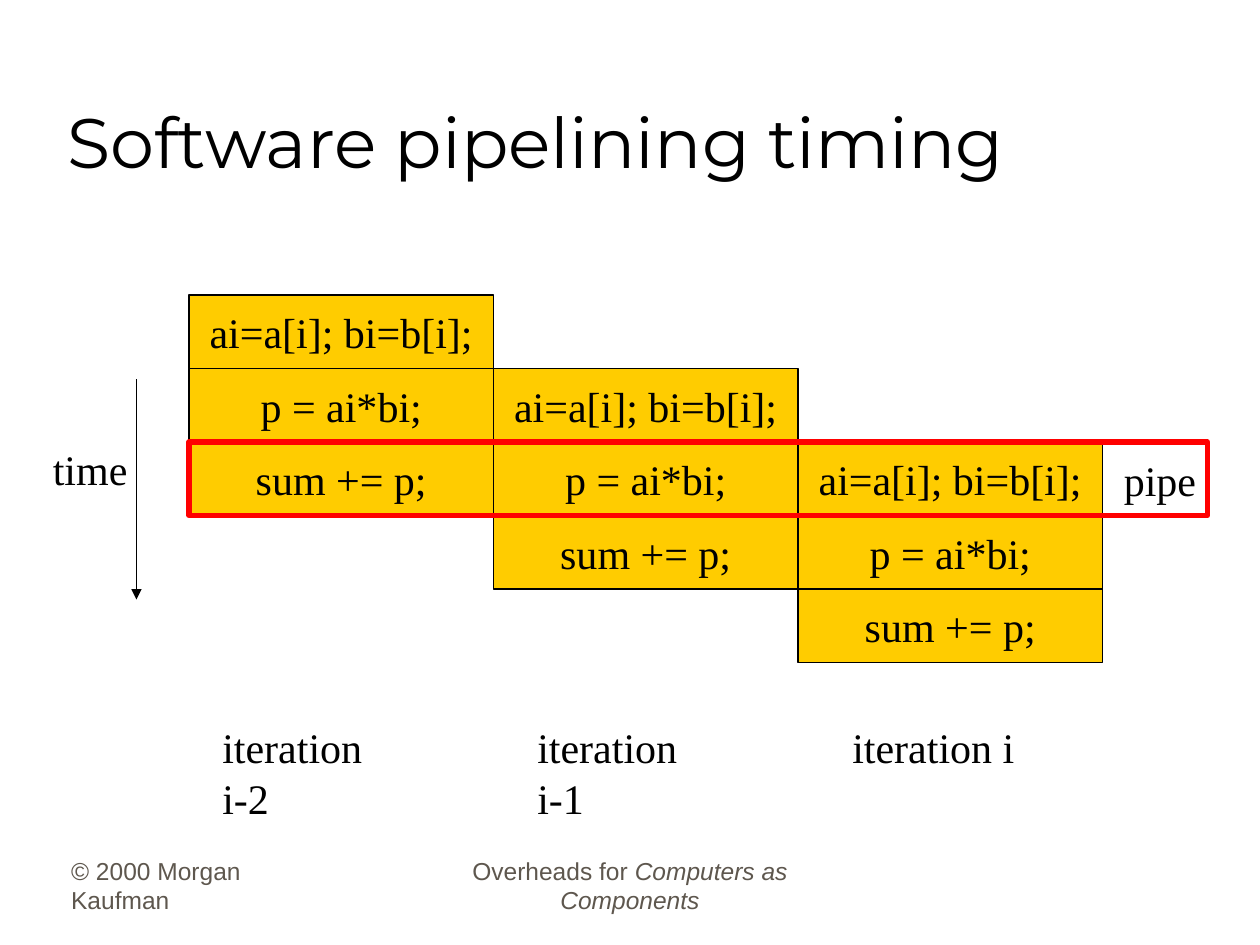
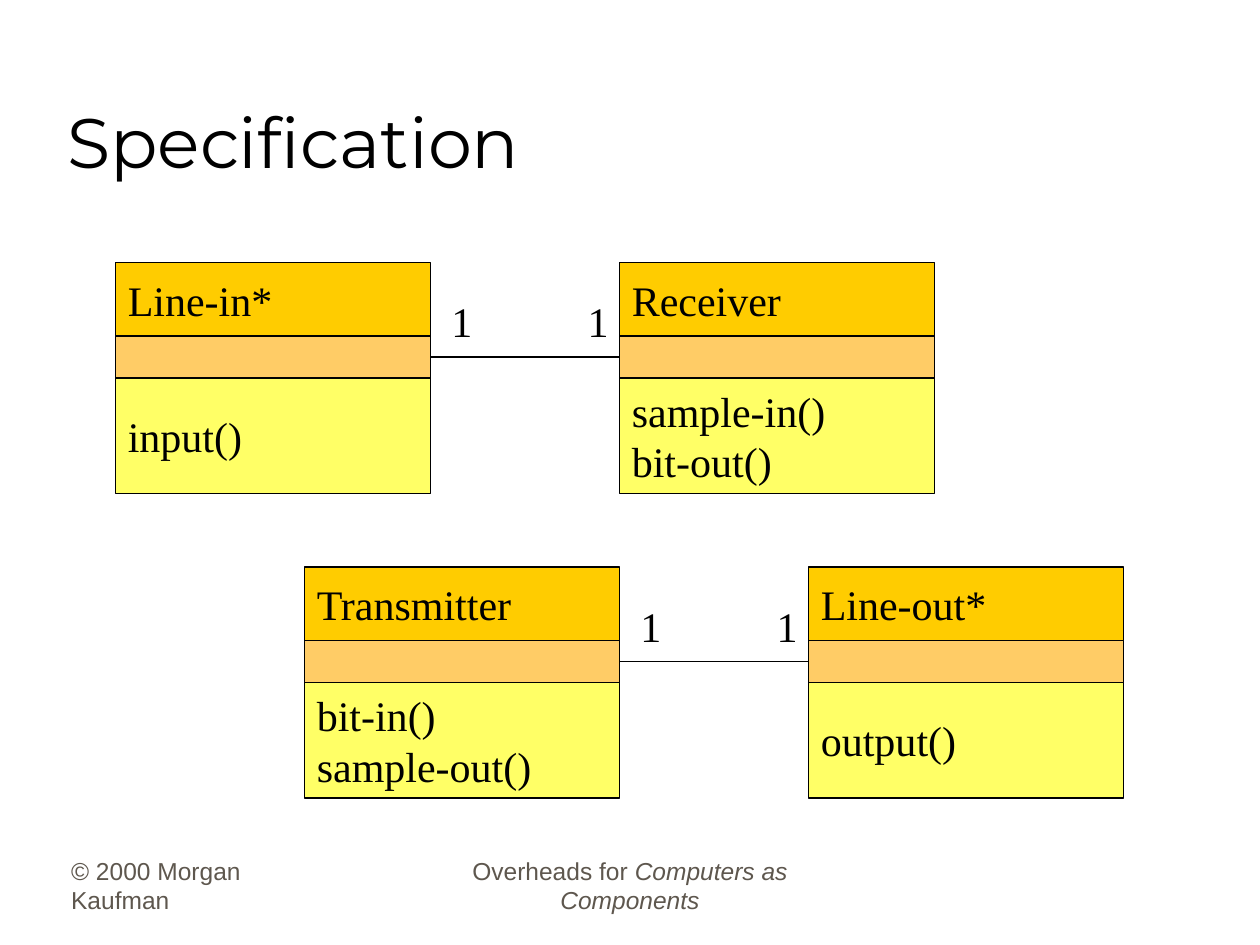
"""Build two slides: software pipelining timing and a class specification."""
import pptx
import pptx.util
import pptx.dml.color
import pptx.enum.shapes
import pptx.enum.text
import pptx.oxml.ns
from lxml import etree

RGBColor = pptx.dml.color.RGBColor
ALIGN = pptx.enum.text.PP_ALIGN
ANCHOR = pptx.enum.text.MSO_ANCHOR

BLACK = RGBColor(0x00, 0x00, 0x00)
RED = RGBColor(0xFF, 0x00, 0x00)
GOLD = RGBColor(0xFF, 0xCC, 0x00)
ORANGE = RGBColor(0xFF, 0xCC, 0x66)
YELLOW = RGBColor(0xFF, 0xFF, 0x66)
FOOTER_GREY = RGBColor(0x5E, 0x57, 0x4E)

TITLE_STYLE = ("Montserrat", 40, BLACK)
BODY_STYLE = ("Times New Roman", 24, BLACK)
FOOTER_STYLE = ("Arial", 14, FOOTER_GREY)

TITLE_BOX = (5.25, 3, 102, 15)
FOOTERS = [
    ((5.6, 81.7, 25, 6), ALIGN.LEFT, [("© 2000 Morgan Kaufman", False)]),
    ((41, 81.7, 38, 6), ALIGN.CENTER,
     [("Overheads for ", False), ("Computers as Components", True)]),
]

TIMING_TITLE = "Software pipelining timing"
STAGES = ["ai=a[i]; bi=b[i];", "p = ai*bi;", "sum += p;"]
ITERATIONS = [("iteration i-2", 21.1), ("iteration i-1", 21.1), ("iteration i", 17.8)]
STAGE_LEFT, STAGE_TOP, STAGE_WIDTH, STAGE_HEIGHT = 18, 28.1, 29, 7
PIPE_WIDTH = 97
ITERATION_LEFT, ITERATION_TOP, ITERATION_STEP = 20, 68.15, 30
TIME_ARROW = (13, 36.1, 13, 57.1)
SIDE_LABELS = [("time", 3.85, 41.65, 9.5), ("pipe", 105.85, 42.65, 9.25)]

SPECIFICATION_TITLE = "Specification"
CLASS_ROWS = [
    (11, 25, [("Line-in*", ["input()"]), ("Receiver", ["sample-in()", "bit-out()"])]),
    (29, 54, [("Transmitter", ["bit-in()", "sample-out()"]), ("Line-out*", ["output()"])]),
]
CLASS_WIDTH, CLASS_GAP = 30, 18
NAME_HEIGHT, ATTRIBUTE_HEIGHT, METHOD_HEIGHT = 7, 4, 11
MULTIPLICITY = "1"
MULTIPLICITY_WIDTH = 4.3
LABEL_HEIGHT = 6

presentation = pptx.Presentation()
presentation.slide_width = pptx.util.Inches(10)
presentation.slide_height = pptx.util.Inches(7.5)
GRID_UNIT = presentation.slide_width / 120


def grid(*lengths):
    """Turn grid units into slide lengths."""
    return [pptx.util.Emu(round(length * GRID_UNIT)) for length in lengths]


def write(shape, paragraphs, style, alignment=ALIGN.LEFT, anchor=ANCHOR.TOP, wrap=True):
    """Write paragraphs given as lists of (text, italic) runs."""
    frame = shape.text_frame
    frame.word_wrap = wrap
    frame.vertical_anchor = anchor
    name, size, color = style
    for index, runs in enumerate(paragraphs):
        paragraph = frame.add_paragraph() if index else frame.paragraphs[0]
        paragraph.alignment = alignment
        for text, italic in runs:
            run = paragraph.add_run()
            run.text = text
            run.font.name = name
            run.font.size = pptx.util.Pt(size)
            run.font.color.rgb = color
            run.font.italic = italic


def add_text(slide, box, runs, style, **layout):
    """Add a text box holding one paragraph."""
    write(slide.shapes.add_textbox(*grid(*box)), [runs], style, **layout)


def add_label(slide, text, left, top, width):
    """Add a single-line body label."""
    add_text(slide, (left, top, width, LABEL_HEIGHT), [(text, False)], BODY_STYLE, wrap=False)


def add_box(slide, box, fill, lines=(), alignment=ALIGN.LEFT, border=BLACK, weight=0.75):
    """Add a bordered rectangle with optional lines of text."""
    shape = slide.shapes.add_shape(pptx.enum.shapes.MSO_SHAPE.RECTANGLE, *grid(*box))
    shape.shadow.inherit = False
    if fill is None:
        shape.fill.background()
    else:
        shape.fill.solid()
        shape.fill.fore_color.rgb = fill
    shape.line.color.rgb = border
    shape.line.width = pptx.util.Pt(weight)
    write(shape, [[(line, False)] for line in lines], BODY_STYLE, alignment, ANCHOR.MIDDLE)


def add_line(slide, ends, arrow=False):
    """Add a thin black line, with an arrowhead at its end if wanted."""
    connector = slide.shapes.add_connector(
        pptx.enum.shapes.MSO_CONNECTOR.STRAIGHT, *grid(*ends))
    connector.line.color.rgb = BLACK
    connector.line.width = pptx.util.Pt(0.75)
    if arrow:
        etree.SubElement(connector.line._get_or_add_ln(),
                         pptx.oxml.ns.qn("a:tailEnd"), type="triangle")
    etree.SubElement(connector._element.spPr, pptx.oxml.ns.qn("a:effectLst"))


def add_slide(title):
    """Add a blank slide with the shared footers and title."""
    slide = presentation.slides.add_slide(presentation.slide_layouts[6])
    for box, alignment, runs in FOOTERS:
        add_text(slide, box, runs, FOOTER_STYLE, alignment=alignment, anchor=ANCHOR.BOTTOM)
    add_text(slide, TITLE_BOX, [(title, False)], TITLE_STYLE, anchor=ANCHOR.BOTTOM)
    return slide


def build_timing():
    """Draw the staggered pipeline stages of three iterations."""
    slide = add_slide(TIMING_TITLE)
    for column, (iteration, label_width) in enumerate(ITERATIONS):
        left = STAGE_LEFT + column * STAGE_WIDTH
        for row, stage in enumerate(STAGES, start=column):
            top = STAGE_TOP + row * STAGE_HEIGHT
            add_box(slide, (left, top, STAGE_WIDTH, STAGE_HEIGHT), GOLD, [stage], ALIGN.CENTER)
        add_label(slide, iteration, ITERATION_LEFT + column * ITERATION_STEP,
                  ITERATION_TOP, label_width)
    add_line(slide, TIME_ARROW, arrow=True)
    pipe_top = STAGE_TOP + (len(STAGES) - 1) * STAGE_HEIGHT
    add_box(slide, (STAGE_LEFT, pipe_top, PIPE_WIDTH, STAGE_HEIGHT), None,
            border=RED, weight=3)
    for label in SIDE_LABELS:
        add_label(slide, *label)


def build_specification():
    """Draw two pairs of associated classes."""
    slide = add_slide(SPECIFICATION_TITLE)
    for row_left, row_top, classes in CLASS_ROWS:
        for column, (name, methods) in enumerate(classes):
            left = row_left + column * (CLASS_WIDTH + CLASS_GAP)
            top = row_top
            for height, fill, lines in [(NAME_HEIGHT, GOLD, [name]),
                                        (ATTRIBUTE_HEIGHT, ORANGE, []),
                                        (METHOD_HEIGHT, YELLOW, methods)]:
                add_box(slide, (left, top, CLASS_WIDTH, height), fill, lines)
                top += height
        start = row_left + CLASS_WIDTH
        end = start + CLASS_GAP
        link_top = row_top + NAME_HEIGHT + ATTRIBUTE_HEIGHT / 2
        add_line(slide, (start, link_top, end, link_top))
        for label_left in (start + 0.8, end - 4.2):
            add_label(slide, MULTIPLICITY, label_left, link_top - 6.4, MULTIPLICITY_WIDTH)


def main():
    """Build both slides and save them."""
    build_timing()
    build_specification()
    presentation.save("out.pptx")


if __name__ == "__main__":
    main()
